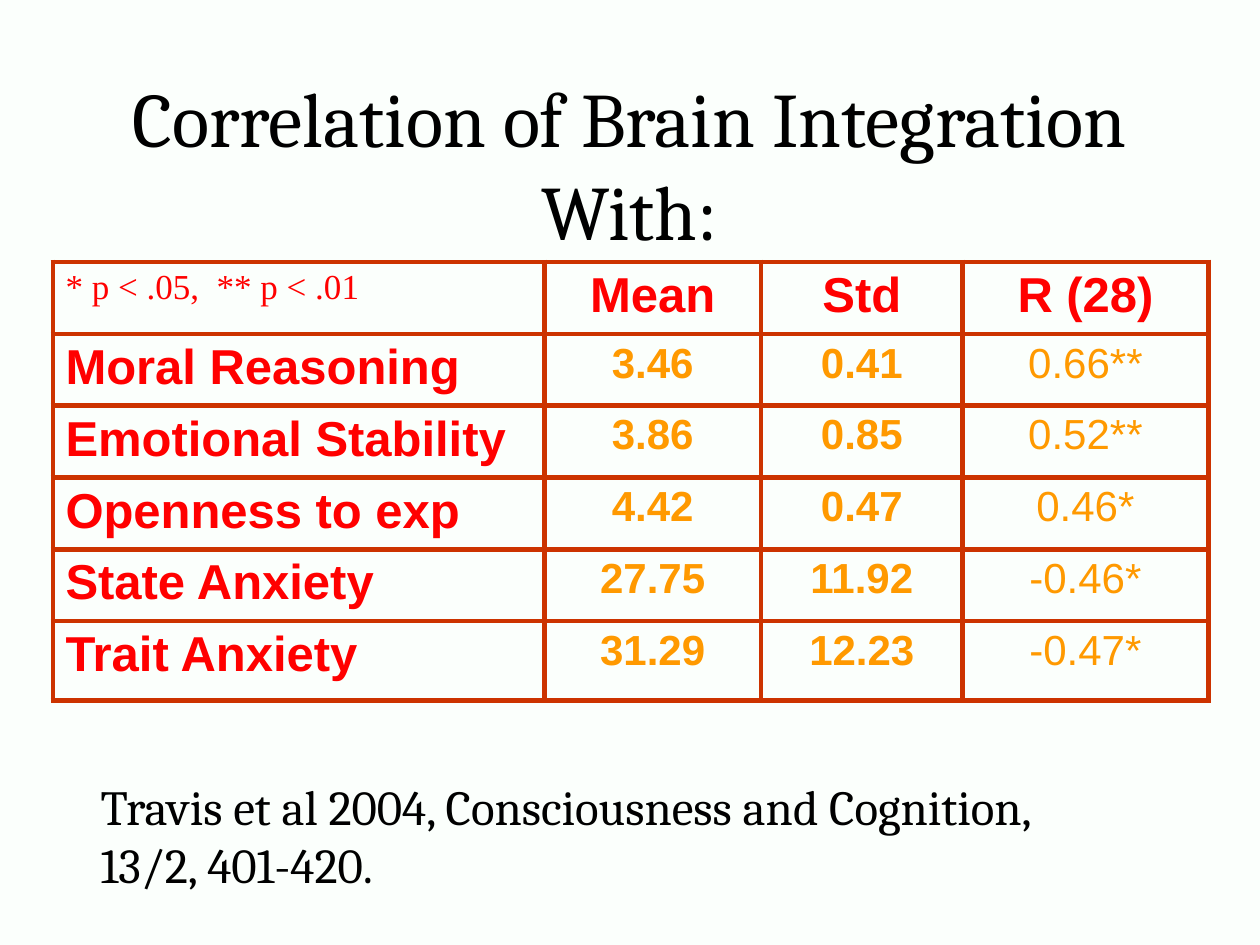
from lxml import etree
from pptx import Presentation
from pptx import util as u
from pptx.dml.color import RGBColor
from pptx.enum import text
from pptx.oxml.ns import qn

BACKGROUND = RGBColor(0xFB, 0xFF, 0xFC)
BLACK = RGBColor(0, 0, 0)
RED = RGBColor(0xFF, 0, 0)
ORANGE = RGBColor(0xFF, 0x99, 0)
BORDER = RGBColor(0xCC, 0x33, 0)

COLUMNS = [3.9, 1.72, 1.6, 1.95]
ROWS = [0.57] * 5 + [0.63]
HEADER = ["* p < .05,  ** p < .01", "Mean", "Std", "R (28)"]
RESULTS = [
    ["Moral Reasoning", "3.46", "0.41", "0.66**"],
    ["Emotional Stability", "3.86", "0.85", "0.52**"],
    ["Openness to exp", "4.42", "0.47", "0.46*"],
    ["State Anxiety", "27.75", "11.92", "-0.46*"],
    ["Trait Anxiety", "31.29", "12.23", "-0.47*"],
]


def write(tf, content, font="Arial", size=28, color=RED, bold=False, center=False):
    """Fill a text frame with one paragraph; newlines become line breaks."""
    p = tf.paragraphs[0]
    p.alignment = text.PP_ALIGN.CENTER if center else text.PP_ALIGN.LEFT
    for i, line in enumerate(content.split("\n")):
        if i:
            p.add_line_break()
        r = p.add_run()
        r.text = line
        r.font.name = font
        r.font.size = u.Pt(size)
        r.font.bold = bold
        r.font.color.rgb = color


def set_borders(cell, color, width):
    tcPr = cell._tc.get_or_add_tcPr()
    for i, side in enumerate(("a:lnL", "a:lnR", "a:lnT", "a:lnB")):
        ln = etree.Element(qn(side), w=str(u.Pt(width)))
        fill = etree.SubElement(ln, qn("a:solidFill"))
        etree.SubElement(fill, qn("a:srgbClr"), val=str(color))
        tcPr.insert(i, ln)


class Deck:
    def __init__(self, prs):
        self.s = prs.slides.add_slide(prs.slide_layouts[6])
        fill = self.s.background.fill
        fill.solid()
        fill.fore_color.rgb = BACKGROUND

    def text_box(self, box, content, anchor=text.MSO_ANCHOR.TOP, **style):
        sp = self.s.shapes.add_textbox(*map(u.Inches, box))
        tf = sp.text_frame
        tf.word_wrap = True
        tf.vertical_anchor = anchor
        write(tf, content, font="Cambria", color=BLACK, **style)

    def table(self, left, top, rows, cell_style):
        frame = self.s.shapes.add_table(
            len(ROWS), len(COLUMNS), u.Inches(left), u.Inches(top),
            u.Inches(sum(COLUMNS)), u.Inches(sum(ROWS)))
        table = frame.table
        table.first_row = table.horz_banding = False
        for column, width in zip(table.columns, COLUMNS):
            column.width = u.Inches(width)
        for row, height in zip(table.rows, ROWS):
            row.height = u.Inches(height)
        for i, values in enumerate(rows):
            for j, value in enumerate(values):
                cell = table.cell(i, j)
                cell.fill.background()
                set_borders(cell, BORDER, 3)
                write(cell.text_frame, value, center=j > 0, **cell_style(i, j))


def result_style(i, j):
    """Red bold headings, orange values, and a plain correlation column."""
    if i == j == 0:
        return dict(font="Times New Roman", size=20)
    if i == 0 or j == 0:
        return dict(bold=True)
    return dict(size=24, color=ORANGE, bold=j < len(COLUMNS) - 1)


def main():
    prs = Presentation()
    prs.slide_width, prs.slide_height = u.Inches(10), u.Inches(7.5)
    deck = Deck(prs)

    # Title
    deck.text_box((0.75, 0.67, 8.5, 1.25), "Correlation of Brain Integration With:",
                  anchor=text.MSO_ANCHOR.MIDDLE, size=44, center=True)

    # Correlation table
    deck.table(0.42, 2.08, [HEADER] + RESULTS, result_style)

    # Citation
    deck.text_box((0.7, 6.11, 8.81, 1.04),
                  "Travis et al 2004, Consciousness and Cognition,\n13/2, 401-420.")

    prs.save("out.pptx")


if __name__ == "__main__":
    main()
